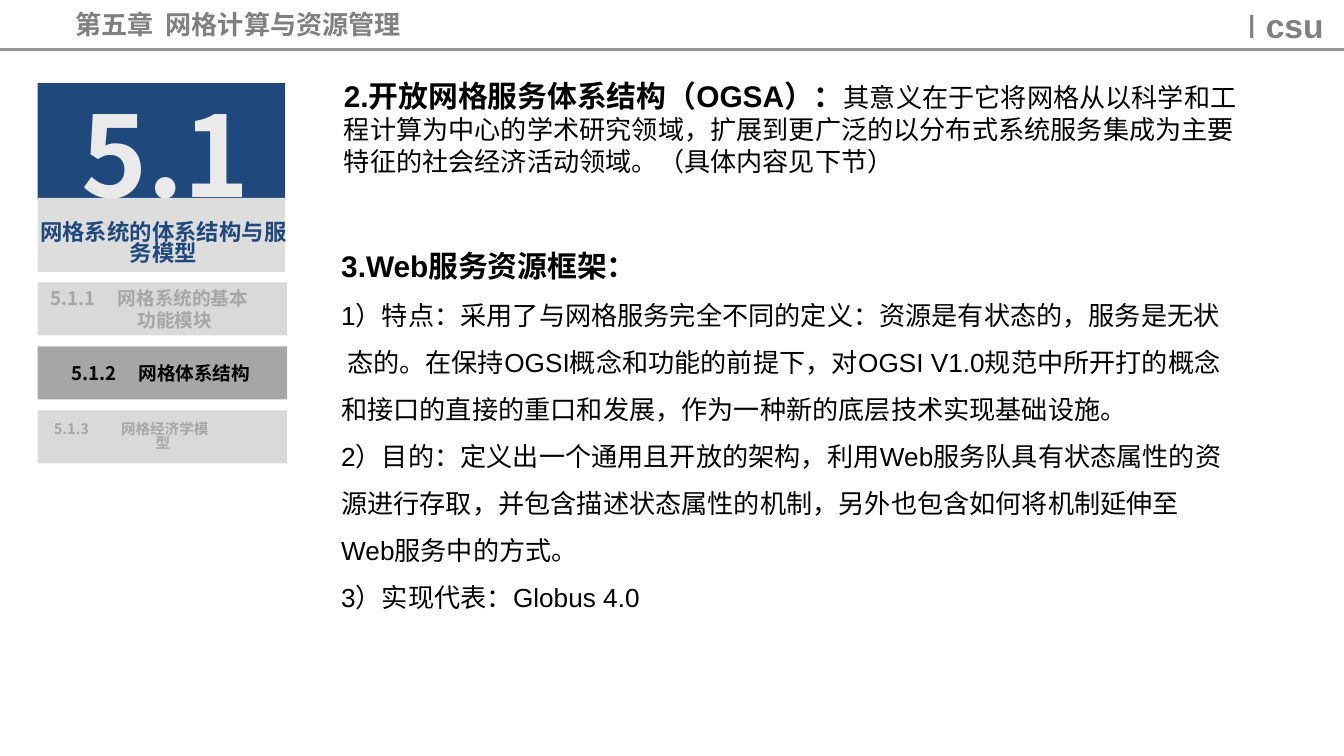
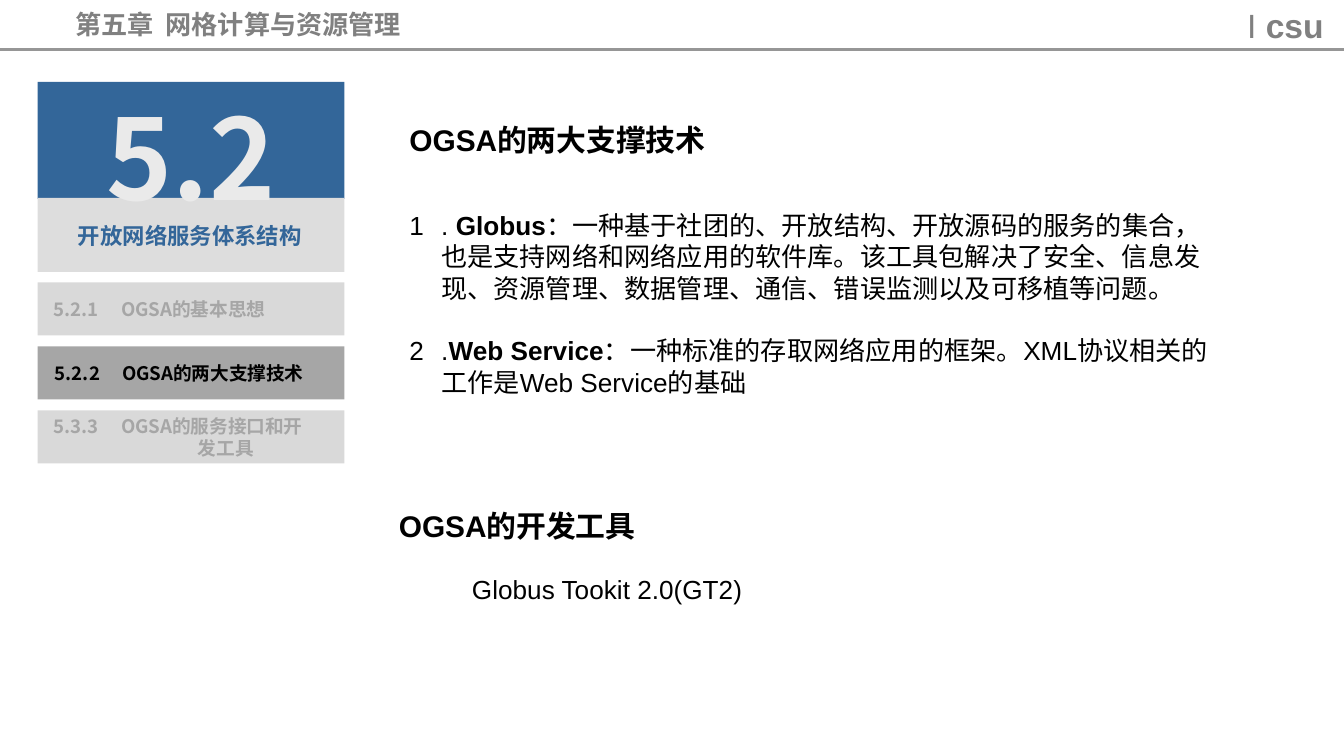
from lxml import etree
from pptx import Presentation
from pptx.dml.color import RGBColor
from pptx.enum.shapes import MSO_CONNECTOR, MSO_SHAPE
from pptx.enum.text import MSO_ANCHOR, MSO_AUTO_SIZE, PP_ALIGN
from pptx.oxml.ns import qn
from pptx.util import Cm, Pt

RECTANGLE = MSO_SHAPE.RECTANGLE
STRAIGHT = MSO_CONNECTOR.STRAIGHT
MIDDLE = MSO_ANCHOR.MIDDLE
GROW = MSO_AUTO_SIZE.SHAPE_TO_FIT_TEXT
LEFT, CENTER = PP_ALIGN.LEFT, PP_ALIGN.CENTER

HEI = "Noto Sans CJK SC"
ARIAL = "Arial"
TIMES = "Times New Roman"
BLACK, GREY, RULE = "000000", "808080", "969696"
PALE, CAPTION, NUMERAL, MUTED = "D9D9D9", "DDDDDD", "EAEAEA", "A6A6A6"

MARGIN = 0.71
ITEM_TOP, ITEM_STEP, ITEM_HEIGHT = 5.34, 1.21, 1.0


def rgb(value):
    return RGBColor.from_string(value)


def write(paragraph, runs, color=BLACK, align=LEFT, spacing=None, before=None,
          indent=0, number=None, tab=None):
    properties = paragraph._p.get_or_add_pPr()
    properties.set("marL", str(Cm(indent)))
    properties.set("indent", str(Cm(-indent if number else 0)))
    if number:
        bullet_color = etree.SubElement(properties, qn("a:buClr"))
        etree.SubElement(bullet_color, qn("a:srgbClr"), val=color)
        etree.SubElement(properties, qn("a:buAutoNum"),
                         type="arabicPlain", startAt=str(number))
    else:
        etree.SubElement(properties, qn("a:buNone"))
    if tab:
        stops = etree.SubElement(properties, qn("a:tabLst"))
        etree.SubElement(stops, qn("a:tab"), pos=str(Cm(tab)), algn="l")
    paragraph.alignment = align
    if spacing:
        paragraph.line_spacing = spacing
    if before:
        paragraph.space_before = Pt(before)
    for text, size, font, bold in runs:
        run = paragraph.add_run()
        run.text = text
        run.font.size = Pt(size)
        run.font.name = font
        run.font.bold = bold
        run.font.color.rgb = rgb(color)
        east_asian = etree.Element(qn("a:ea"), typeface=HEI)
        run.font._element.find(qn("a:latin")).addnext(east_asian)


header = [
    ((1.17, 0.03, 6.68, 0.86), False, [
        dict(runs=[("第五章  网格计算与资源管理", 14, HEI, True)], color=GREY)]),
    ((23.32, -0.03, 1.96, 1.02), False, [
        dict(runs=[("I ", 18, ARIAL, False), ("csu", 18, ARIAL, True)], color=GREY)]),
]

sections = [
    dict(
        accent="1F497D", width=4.68, accent_top=1.57,
        numeral=("5.1", (0.79, 1.5, 4.67, 2.79)),
        caption=("网格系统的体系结构与服务模型", (0.41, 4.09, 5.36, 1.07), 0.8),
        item_width=4.72,
        items=[
            dict(lines=["5.1.1\t网格系统的基本", "功能模块"], size=10,
                 inset=0.25, tab=1.23, hang=1.64),
            dict(lines=["5.1.2\t网格体系结构"], size=10, inset=0.64, tab=1.4),
            dict(lines=["5.1.3\t网格经济学模", "型"], size=7.8,
                 inset=0.31, tab=1.1, hang=1.92, spacing=0.8),
        ],
        body=[
            ((6.25, 1.35, 17.45, 2.13), True, [
                dict(runs=[
                    ("2.开放网格服务体系结构（OGSA）：", 16, ARIAL, True),
                    ("其意义在于它将网格从以科学和工程计算为中心的学术研究领域，"
                     "扩展到更广泛的以分布式系统服务集成为主要特征的社会经济活动领域。"
                     "（具体内容见下节）", 14, TIMES, False)])]),
            ((6.2, 4.22, 17.15, 7.49), True, [
                dict(runs=[("3.Web服务资源框架：", 16, ARIAL, True)], spacing=1.5),
                dict(runs=[
                    ("1）特点：采用了与网格服务完全不同的定义：资源是有状态的，"
                     "服务是无状  态的。在保持OGSI概念和功能的前提下，"
                     "对OGSI V1.0规范中所开打的概念和接口的直接的重口和发展，"
                     "作为一种新的底层技术实现基础设施。", 14, ARIAL, False)], spacing=1.5),
                dict(runs=[
                    ("2）目的：定义出一个通用且开放的架构，利用Web服务队具有状态属性的"
                     "资源进行存取，并包含描述状态属性的机制，"
                     "另外也包含如何将机制延伸至Web服务中的方式。", 14, ARIAL, False)],
                     spacing=1.5),
                dict(runs=[("3）实现代表：Globus 4.0", 14, ARIAL, False)], spacing=1.5)]),
        ],
    ),
    dict(
        accent="336699", width=5.8, accent_top=1.55,
        numeral=("5.2", (1.5, 1.55, 4.22, 2.79)),
        caption=("开放网络服务体系结构", (1.09, 4.14, 5.0, 0.71), 0.9),
        item_width=5.8,
        items=[
            dict(lines=["5.2.1\tOGSA的基本思想"], size=10, inset=0.31, tab=1.49),
            dict(lines=["5.2.2\tOGSA的两大支撑技术"], size=10, inset=0.33, tab=1.25),
            dict(lines=["5.3.3\tOGSA的服务接口和开", "发工具"], size=10,
                 inset=0.31, tab=1.1, hang=2.72),
        ],
        body=[
            ((7.49, 1.83, 15.6, 5.84), True, [
                dict(runs=[("OGSA的两大支撑技术", 16, ARIAL, True)], spacing=1.5),
                dict(runs=[
                    (". ", 14, ARIAL, False), ("Globus", 14, ARIAL, True),
                    ("：一种基于社团的、开放结构、开放源码的服务的集合，"
                     "也是支持网络和网络应用的软件库。该工具包解决了安全、信息发现、"
                     "资源管理、数据管理、通信、错误监测以及可移植等问题。", 14, ARIAL, False)],
                     number=1, indent=0.6, before=28),
                dict(runs=[
                    (".", 14, ARIAL, False), ("Web Service", 14, ARIAL, True),
                    ("：一种标准的存取网络应用的框架。"
                     "XML协议相关的工作是Web Service的基础", 14, ARIAL, False)],
                     number=2, indent=0.6, before=16.8)]),
            ((7.29, 9.14, 12.7, 2.46), True, [
                dict(runs=[("OGSA的开发工具", 16, ARIAL, True)], spacing=1.5),
                dict(runs=[("Globus Tookit 2.0(GT2)", 14, ARIAL, False)],
                     indent=1.38, before=16)]),
        ],
    ),
]

presentation = Presentation()
presentation.slide_width = Cm(25.4)
presentation.slide_height = Cm(14.29)

for section in sections:
    slide = presentation.slides.add_slide(presentation.slide_layouts[6])

    rule = slide.shapes.add_connector(STRAIGHT, Cm(0), Cm(0.94), Cm(25.4), Cm(0.94))
    rule.line.color.rgb = rgb(RULE)
    rule.line.width = Pt(1.5)
    etree.SubElement(rule._element.spPr, qn("a:effectLst"))

    blocks = [
        (MARGIN, section["accent_top"], section["width"], 2.21, section["accent"], None),
        (MARGIN, 3.74, section["width"], 1.4, CAPTION, None),
    ]
    for index, item in enumerate(section["items"]):
        fill = MUTED if index == 1 else PALE
        blocks.append((MARGIN, ITEM_TOP + index * ITEM_STEP,
                       section["item_width"], ITEM_HEIGHT, fill, item))

    for left, top, width, height, fill, item in blocks:
        block = slide.shapes.add_shape(RECTANGLE, Cm(left), Cm(top), Cm(width), Cm(height))
        block.shadow.inherit = False
        block.fill.solid()
        block.fill.fore_color.rgb = rgb(fill)
        block.line.fill.background()
        if item:
            frame = block.text_frame
            frame.word_wrap = True
            frame.vertical_anchor = MIDDLE
            frame.margin_left = Cm(item["inset"])
            for row, line in enumerate(item["lines"]):
                paragraph = frame.add_paragraph() if row else frame.paragraphs[0]
                write(paragraph, [(line, item["size"], HEI, True)],
                      color=BLACK if fill == MUTED else MUTED,
                      spacing=item.get("spacing"),
                      indent=item["hang"] if row else 0,
                      tab=None if row else item["tab"])

    numeral, numeral_place = section["numeral"]
    caption, caption_place, caption_spacing = section["caption"]
    titles = [
        (numeral_place, True, [
            dict(runs=[(numeral, 60, HEI, True)], color=NUMERAL, align=CENTER)]),
        (caption_place, True, [
            dict(runs=[(caption, 12, HEI, True)], color=section["accent"],
                 align=CENTER, spacing=caption_spacing)]),
    ]
    for place, wrap, paragraphs in header + section["body"] + titles:
        frame = slide.shapes.add_textbox(*[Cm(length) for length in place]).text_frame
        frame.word_wrap = wrap
        frame.auto_size = GROW
        for row, content in enumerate(paragraphs):
            paragraph = frame.add_paragraph() if row else frame.paragraphs[0]
            write(paragraph, **content)

presentation.save("out.pptx")
